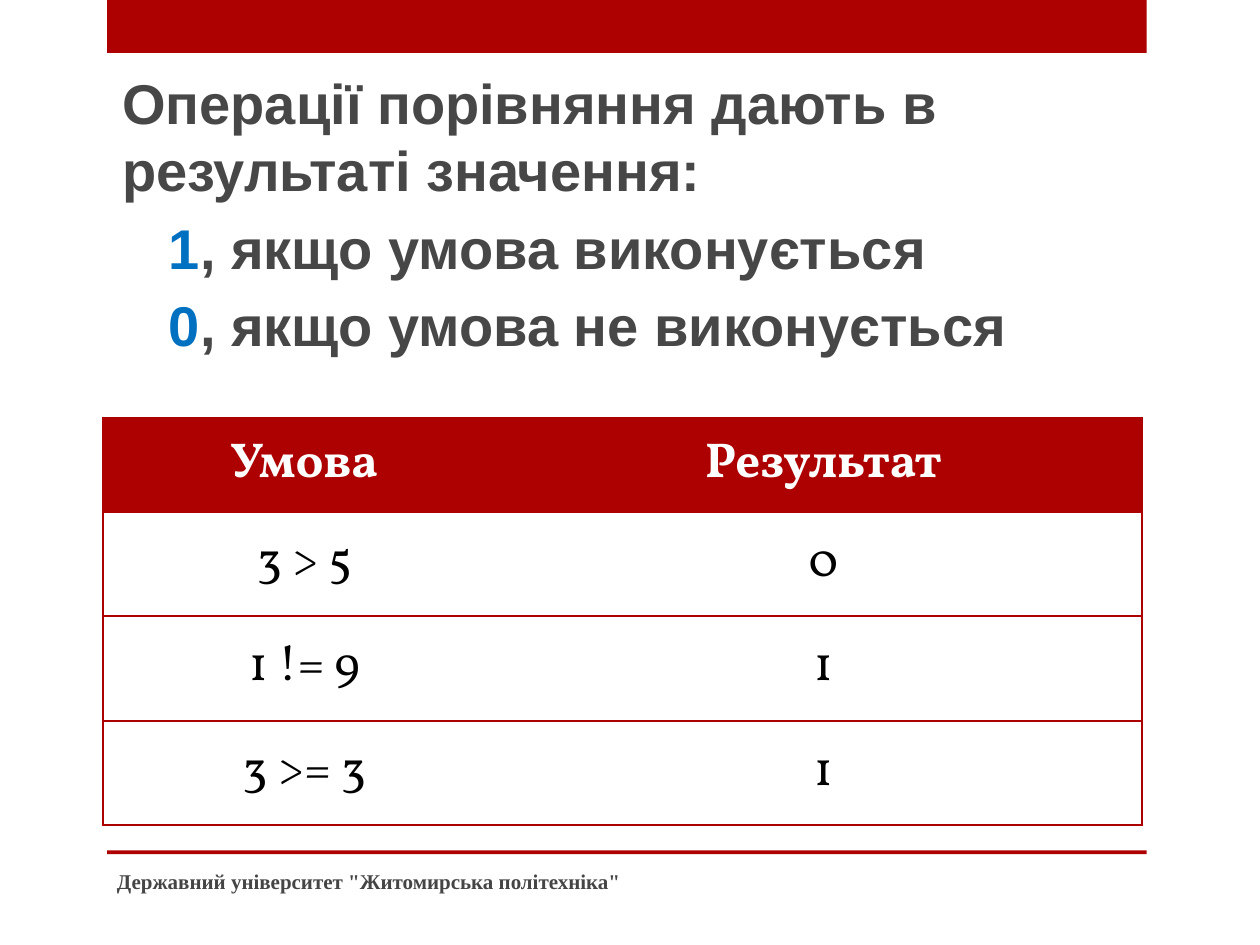
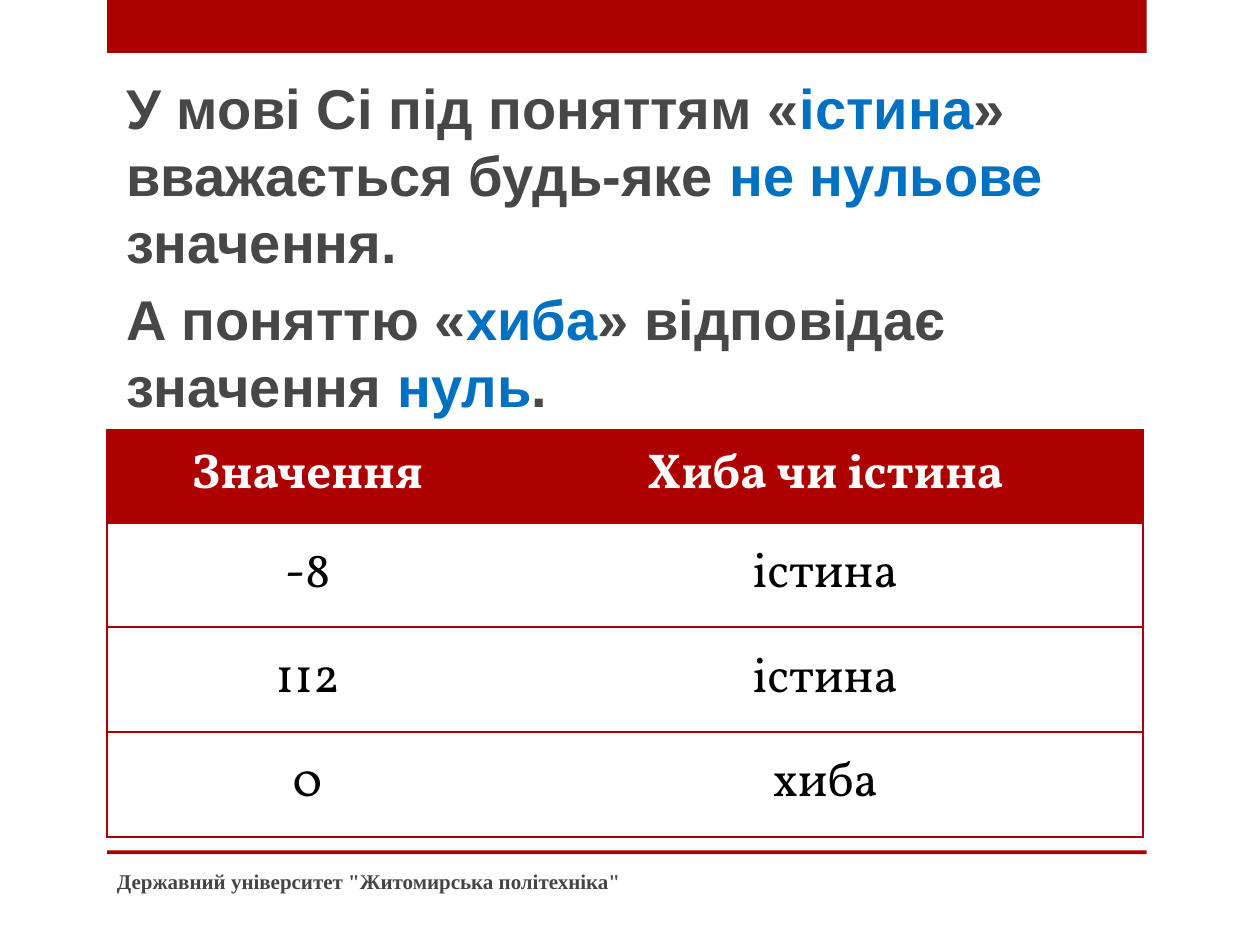
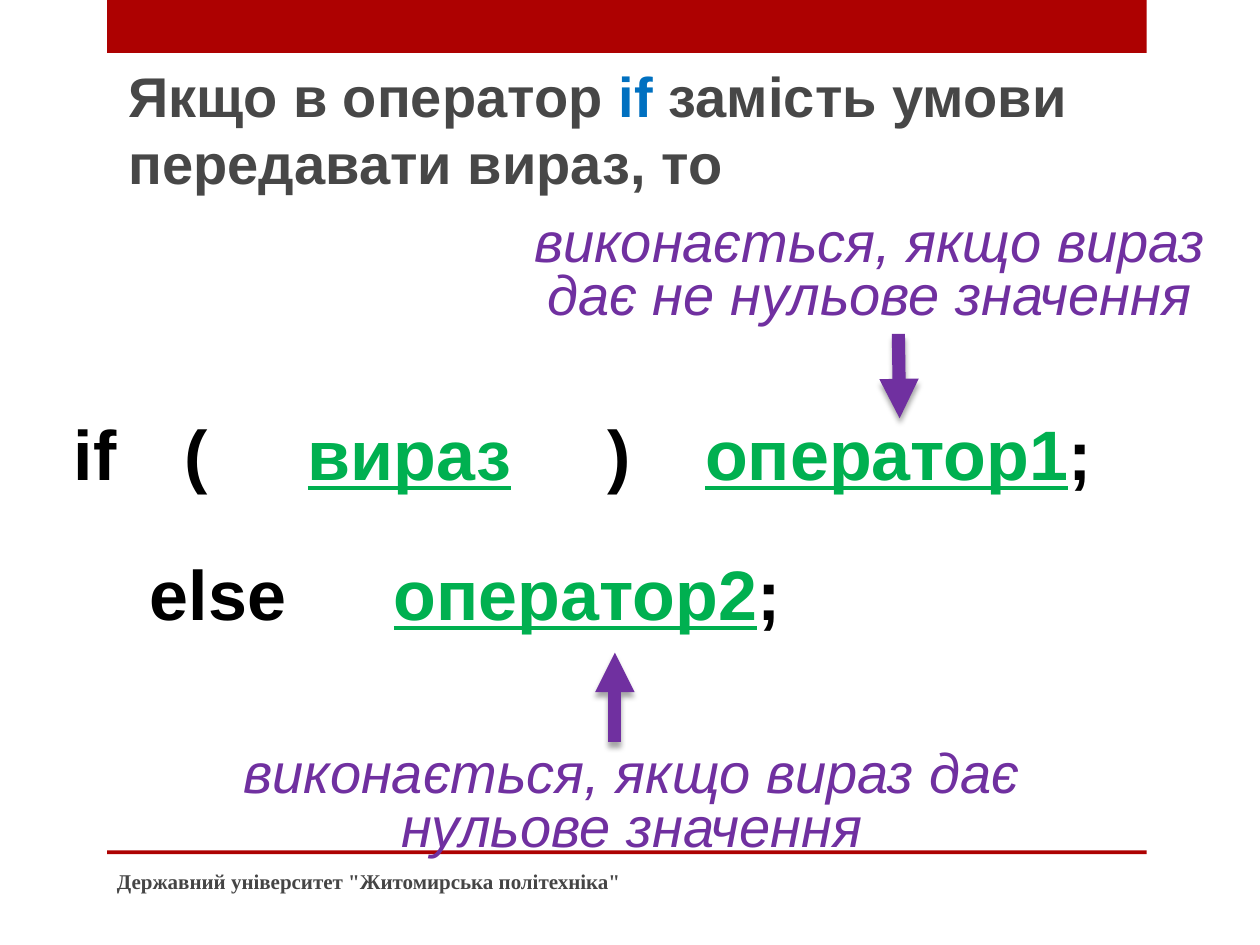
from lxml.etree import SubElement
from pptx import Presentation
from pptx.dml.color import RGBColor
from pptx.enum.shapes import MSO_CONNECTOR, MSO_SHAPE
from pptx.enum.text import MSO_ANCHOR, MSO_AUTO_SIZE, PP_ALIGN
from pptx.oxml.ns import qn
from pptx.util import Inches, Pt

COLORS = {
    "red": "AD0101",
    "text": "474747",
    "footer": "454545",
    "blue": "0070C0",
    "green": "00B050",
    "purple": "7030A0",
    "black": "000000",
    "white": "FFFFFF",
}
PLAIN_TABLE_STYLE = "{2D5ABB26-0587-4C30-8999-92F81FD0307C}"
FOOTER = 'Державний університет "Житомирська політехніка"'


def write(para, spans, size, face="Arial", bold=True, italic=False):
    """Add (text, colour name) spans; green ones are underlined."""
    for text, color in spans:
        span = para.add_run()
        span.text = text
        span.font.name = face
        span.font.size = Pt(size)
        span.font.bold = bold
        span.font.italic = italic
        span.font.underline = color == "green"
        span.font.color.rgb = RGBColor.from_string(COLORS[color])


def add_solid_fill(parent, color):
    fill = SubElement(parent, qn("a:solidFill"))
    return SubElement(fill, qn("a:srgbClr"), val=COLORS[color])


deck = Presentation()
deck.slide_width, deck.slide_height = Inches(10), Inches(7.5)
pages = [deck.slides.add_slide(deck.slide_layouts[1]) for _ in range(3)]
comparison_page, truth_page, if_page = pages

# Red bands belong to the master, so every slide shows them
for top, height in [(0, 0.42), (6.75, 0.03)]:
    band = comparison_page.shapes.add_shape(
        MSO_SHAPE.RECTANGLE, Inches(0.85), Inches(top), Inches(8.25), Inches(height))
    band.shadow.inherit = False
    band.fill.solid()
    band.fill.fore_color.rgb = RGBColor.from_string(COLORS["red"])
    band.line.fill.background()
    deck.slide_master.shapes.element.append(band.element)

# Statements: page, placeholder index, position, paragraphs as (indent, spans)
statements = [
    (comparison_page, 1, (0.82, 0.49, 8.32, 2.63), [
        (0.05, [("Операції порівняння дають в результаті значення:", "text")]),
        (0.42, [("1", "blue"), (", якщо умова виконується", "text")]),
        (0.42, [("0", "blue"), (", якщо умова не виконується", "text")]),
    ]),
    (truth_page, 0, (0.85, 0.53, 8.22, 0.89), [
        (0.05, [("У мові Сі під поняттям «", "text"), ("істина", "blue"),
                ("» вважається будь-яке ", "text"), ("не нульове ", "blue"),
                ("значення.", "text")]),
    ]),
    (truth_page, 1, (0.85, 2.21, 8.22, 0.89), [
        (0.05, [("А поняттю «", "text"), ("хиба", "blue"),
                ("» відповідає значення ", "text"), ("нуль", "blue"), (".", "text")]),
    ]),
    (if_page, 0, (0.87, 0.44, 8.18, 1.11), [
        (0.05, [("Якщо в оператор ", "text"), ("if ", "blue"),
                ("замість умови передавати вираз, то", "text")]),
    ]),
]
for page, index, position, paragraphs in statements:
    box = page.placeholders[index]
    box.left, box.top, box.width, box.height = map(Inches, position)
    frame = box.text_frame
    frame.word_wrap = True
    frame.auto_size = MSO_AUTO_SIZE.NONE
    frame.vertical_anchor = MSO_ANCHOR.TOP
    for number, (indent, spans) in enumerate(paragraphs):
        para = frame.add_paragraph() if number else frame.paragraphs[0]
        properties = para._p.get_or_add_pPr()
        properties.set("marL", str(Inches(indent)))
        properties.set("indent", "0")
        SubElement(properties, qn("a:buNone"))
        para.alignment = PP_ALIGN.LEFT
        para.space_before = Pt(6 if number else 0)
        write(para, spans, 32)

for page in pages:
    for placeholder in list(page.placeholders):
        if not placeholder.text_frame.text:
            placeholder.element.getparent().remove(placeholder.element)

# Tables: page, position, column widths, rows
tables = [
    (comparison_page, (0.82, 3.32), (3.19, 5.05),
     [("Умова", "Результат"), ("3 > 5", "0"), ("1 != 9", "1"), ("3 >= 3", "1")]),
    (truth_page, (0.85, 3.41), (3.18, 5.04),
     [("Значення", "Хиба чи істина"), ("-8", "істина"), ("112", "істина"), ("0", "хиба")]),
]
for page, (left, top), widths, rows in tables:
    holder = page.shapes.add_table(len(rows), len(widths), Inches(left), Inches(top),
                                   Inches(sum(widths)), Inches(3.23))
    holder.element.find(".//" + qn("a:tableStyleId")).text = PLAIN_TABLE_STYLE
    table = holder.table
    for column, width in zip(table.columns, widths):
        column.width = Inches(width)
    for row_number, texts in enumerate(rows):
        is_header = row_number == 0
        table.rows[row_number].height = Inches(0.74 if is_header else 0.83)
        for column_number, text in enumerate(texts):
            cell = table.cell(row_number, column_number)
            cell.vertical_anchor = MSO_ANCHOR.MIDDLE
            outer_side = "a:lnR" if column_number else "a:lnL"
            for side in (outer_side, "a:lnT", "a:lnB"):
                border = SubElement(cell._tc.get_or_add_tcPr(), qn(side), w=str(Pt(1.25)))
                add_solid_fill(border, "red")
            cell.fill.solid()
            cell.fill.fore_color.rgb = RGBColor.from_string(
                COLORS["red" if is_header else "white"])
            para = cell.text_frame.paragraphs[0]
            para.alignment = PP_ALIGN.CENTER
            write(para, [(text, "white" if is_header else "black")], 28, "Vollkorn", is_header)

# Syntax of the if statement: left, top, width, spans
syntax_parts = [
    (0.34, 3.21, 0.83, [("if", "black")]),
    (1.27, 3.21, 0.57, [("(", "black")]),
    (1.97, 3.21, 2.56, [("вираз", "green")]),
    (4.64, 3.21, 0.54, [(")", "black")]),
    (5.37, 3.21, 3.52, [("оператор1", "green"), (";", "black")]),
    (0.87, 4.32, 1.72, [("else", "black")]),
    (2.85, 4.32, 3.62, [("оператор2", "green"), (";", "black")]),
]
for left, top, width, spans in syntax_parts:
    part = if_page.shapes.add_shape(
        MSO_SHAPE.RECTANGLE, Inches(left), Inches(top), Inches(width), Inches(0.77))
    part.shadow.inherit = False
    part.fill.solid()
    part.fill.fore_color.rgb = RGBColor.from_string(COLORS["white"])
    part.line.fill.background()
    part.text_frame.word_wrap = True
    part.text_frame.vertical_anchor = MSO_ANCHOR.TOP
    para = part.text_frame.paragraphs[0]
    para.alignment = PP_ALIGN.CENTER
    write(para, spans, 40)

# Explanations with their arrows: text, position, arrow start and end
explanations = [
    ("виконається, якщо вираз дає не нульове значення",
     (4.07, 1.69, 5.67, 0.96), (7.13, 2.65, 7.14, 3.32)),
    ("виконається, якщо вираз дає нульове значення",
     (1.74, 5.91, 6.55, 0.96), (4.88, 5.89, 4.88, 5.18)),
]
for text, position, ends in explanations:
    box = if_page.shapes.add_textbox(*map(Inches, position))
    box.text_frame.word_wrap = True
    para = box.text_frame.paragraphs[0]
    para.alignment = PP_ALIGN.CENTER
    para.line_spacing = 0.8
    write(para, [(text, "purple")], 32, bold=False, italic=True)

    arrow = if_page.shapes.add_connector(MSO_CONNECTOR.STRAIGHT, *map(Inches, ends))
    arrow.line.color.rgb = RGBColor.from_string(COLORS["purple"])
    arrow.line.width = Pt(7.5)
    SubElement(arrow.line._get_or_add_ln(), qn("a:tailEnd"), type="triangle")
    effects = SubElement(arrow.element.spPr, qn("a:effectLst"))
    shadow = SubElement(effects, qn("a:outerShdw"), blurRad=str(Pt(3)), dist=str(Pt(3)),
                        dir="5400000", rotWithShape="0")
    shadow_color = SubElement(shadow, qn("a:srgbClr"), val=COLORS["black"])
    SubElement(shadow_color, qn("a:alpha"), val="35000")

for page in pages:
    footer = page.shapes.add_textbox(Inches(0.83), Inches(6.79), Inches(5.33), Inches(0.4))
    footer.text_frame.word_wrap = True
    footer.text_frame.vertical_anchor = MSO_ANCHOR.MIDDLE
    write(footer.text_frame.paragraphs[0], [(FOOTER, "footer")], 12, "Times New Roman")

deck.save("out.pptx")
